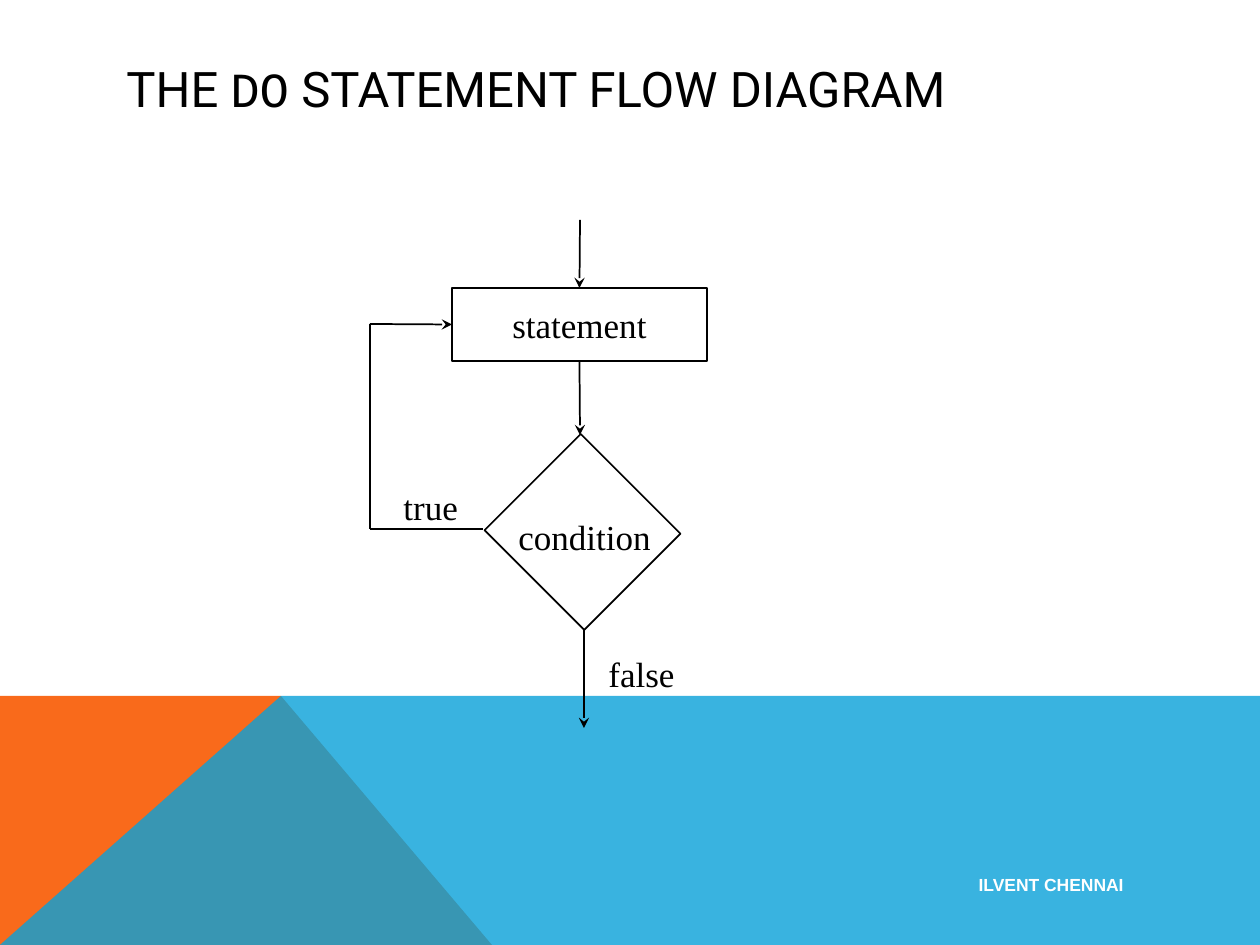
from dataclasses import dataclass
from typing import Optional

from lxml import etree
from pptx import Presentation
from pptx.dml.color import RGBColor
from pptx.enum.shapes import MSO_CONNECTOR, MSO_SHAPE
from pptx.enum.text import MSO_ANCHOR, MSO_AUTO_SIZE, PP_ALIGN
from pptx.oxml.ns import qn
from pptx.util import Pt

EMU_PER_PX = 914400 / 126
RECTANGLE = MSO_SHAPE.RECTANGLE
STRAIGHT = MSO_CONNECTOR.STRAIGHT
MIDDLE, TOP = MSO_ANCHOR.MIDDLE, MSO_ANCHOR.TOP
LEFT, CENTER, RIGHT = PP_ALIGN.LEFT, PP_ALIGN.CENTER, PP_ALIGN.RIGHT
FIXED, GROWING = MSO_AUTO_SIZE.NONE, MSO_AUTO_SIZE.SHAPE_TO_FIT_TEXT
SITE_TOP, SITE_LEFT, SITE_BOTTOM = 0, 1, 2
COLORS = {"black": "000000", "white": "FFFFFF", "orange": "F96A1B", "blue": "08A1D9"}
SERIF = "Times New Roman"


@dataclass(frozen=True)
class Run:
    text: str
    font: str = SERIF
    size: int = 20
    color: str = "black"
    bold: bool = False


@dataclass(frozen=True)
class Label:
    box: tuple[int, int, int, int]
    runs: tuple[Run, ...]
    align: PP_ALIGN = LEFT
    anchor: MSO_ANCHOR = TOP
    wrap: bool = False


@dataclass(frozen=True)
class Flow:
    start: tuple[int, int]
    end: tuple[int, int]
    arrow: bool = True
    start_site: Optional[int] = None
    end_site: Optional[int] = None


@dataclass(frozen=True)
class Band:
    points: tuple[tuple[int, int], ...]
    color: str
    opacity: int = 100


BANDS = (
    Band(((0, 945), (0, 696), (281, 696), (492, 945)), "orange"),
    Band(((0, 945), (281, 696), (1260, 696), (1260, 945)), "blue", 80),
)
STATEMENT_BOX = (452, 288, 255, 73)
CONDITION_BOX = (512, 464, 141, 136)
LABELS = (
    Label((114, 50, 1037, 76),
          (Run("THE ", "Roboto", 28), Run("DO", "Courier New", 28),
           Run(" STATEMENT FLOW DIAGRAM", "Roboto", 28)), anchor=MIDDLE, wrap=True),
    Label((506, 509, 164, 54), (Run("condition"),)),
    Label((596, 646, 93, 54), (Run("false"),)),
    Label((391, 479, 81, 54), (Run("true"),)),
    Label((485, 866, 651, 38), (Run("ILVENT CHENNAI", "Arial", 10, "white", True),),
          RIGHT, MIDDLE, True),
)
# Sites refer to the statement rectangle.
FLOWS = (
    Flow((580, 220), (580, 288), end_site=SITE_TOP),
    Flow((580, 361), (580, 435), start_site=SITE_BOTTOM),
    Flow((483, 529), (370, 529), arrow=False),
    Flow((370, 529), (370, 324), arrow=False),
    Flow((370, 324), (452, 324), end_site=SITE_LEFT),
    Flow((584, 629), (584, 728)),
)


def px(*lengths: int) -> list[int]:
    """Turn pixel lengths into EMU."""
    return [round(length * EMU_PER_PX) for length in lengths]


def rgb(name: str) -> RGBColor:
    return RGBColor.from_string(COLORS[name])


def draw_band(slide, band: Band) -> None:
    builder = slide.shapes.build_freeform(*band.points[0], scale=EMU_PER_PX)
    builder.add_line_segments(band.points[1:], close=True)
    shape = builder.convert_to_shape()
    shape.shadow.inherit = False
    shape.fill.solid()
    shape.fill.fore_color.rgb = rgb(band.color)
    shape.line.fill.background()
    if band.opacity < 100:
        color = shape.fill._xPr.find(qn("a:solidFill"))[0]
        etree.SubElement(color, qn("a:alpha"), val=str(band.opacity * 1000))


def draw_box(slide, box: tuple[int, int, int, int], rotation: int = 0):
    shape = slide.shapes.add_shape(RECTANGLE, *px(*box))
    shape.rotation = rotation
    shape.shadow.inherit = False
    shape.fill.background()
    shape.line.color.rgb = rgb("black")
    shape.line.width = Pt(1)
    return shape


def add_runs(paragraph, runs: tuple[Run, ...]) -> None:
    for item in runs:
        run = paragraph.add_run()
        run.text = item.text
        run.font.name = item.font
        run.font.size = Pt(item.size)
        run.font.bold = item.bold
        run.font.color.rgb = rgb(item.color)


def draw_label(slide, label: Label) -> None:
    frame = slide.shapes.add_textbox(*px(*label.box)).text_frame
    frame.word_wrap = label.wrap
    frame.auto_size = FIXED if label.wrap else GROWING
    frame.vertical_anchor = label.anchor
    paragraph = frame.paragraphs[0]
    paragraph.alignment = label.align
    add_runs(paragraph, label.runs)


def draw_flow(slide, flow: Flow, statement) -> None:
    connector = slide.shapes.add_connector(STRAIGHT, *px(*flow.start, *flow.end))
    if flow.start_site is not None:
        connector.begin_connect(statement, flow.start_site)
    if flow.end_site is not None:
        connector.end_connect(statement, flow.end_site)
    connector.line.color.rgb = rgb("black")
    connector.line.width = Pt(1)
    if flow.arrow:
        etree.SubElement(connector.line._get_or_add_ln(), qn("a:tailEnd"), type="stealth")
    etree.SubElement(connector._element.spPr, qn("a:effectLst"))


def main() -> None:
    presentation = Presentation()
    presentation.slide_width, presentation.slide_height = px(1260, 945)
    slide = presentation.slides.add_slide(presentation.slide_layouts[6])
    for band in BANDS:
        draw_band(slide, band)
    statement = draw_box(slide, STATEMENT_BOX)
    statement.text_frame.word_wrap = False
    statement.text_frame.vertical_anchor = MIDDLE
    paragraph = statement.text_frame.paragraphs[0]
    paragraph.alignment = CENTER
    add_runs(paragraph, (Run("statement"),))
    draw_box(slide, CONDITION_BOX, rotation=45)
    for label in LABELS:
        draw_label(slide, label)
    for flow in FLOWS:
        draw_flow(slide, flow, statement)
    presentation.save("out.pptx")


if __name__ == "__main__":
    main()
